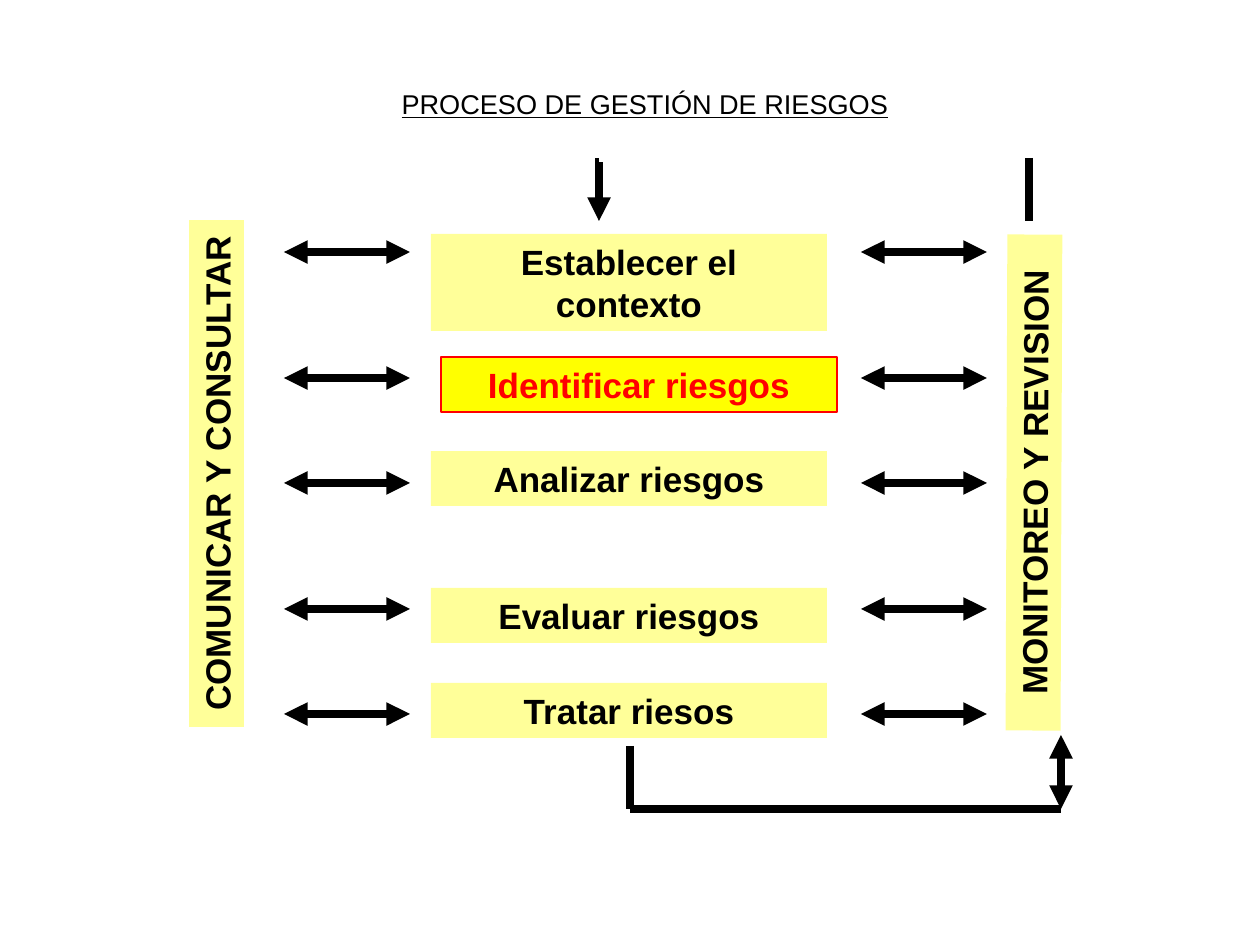
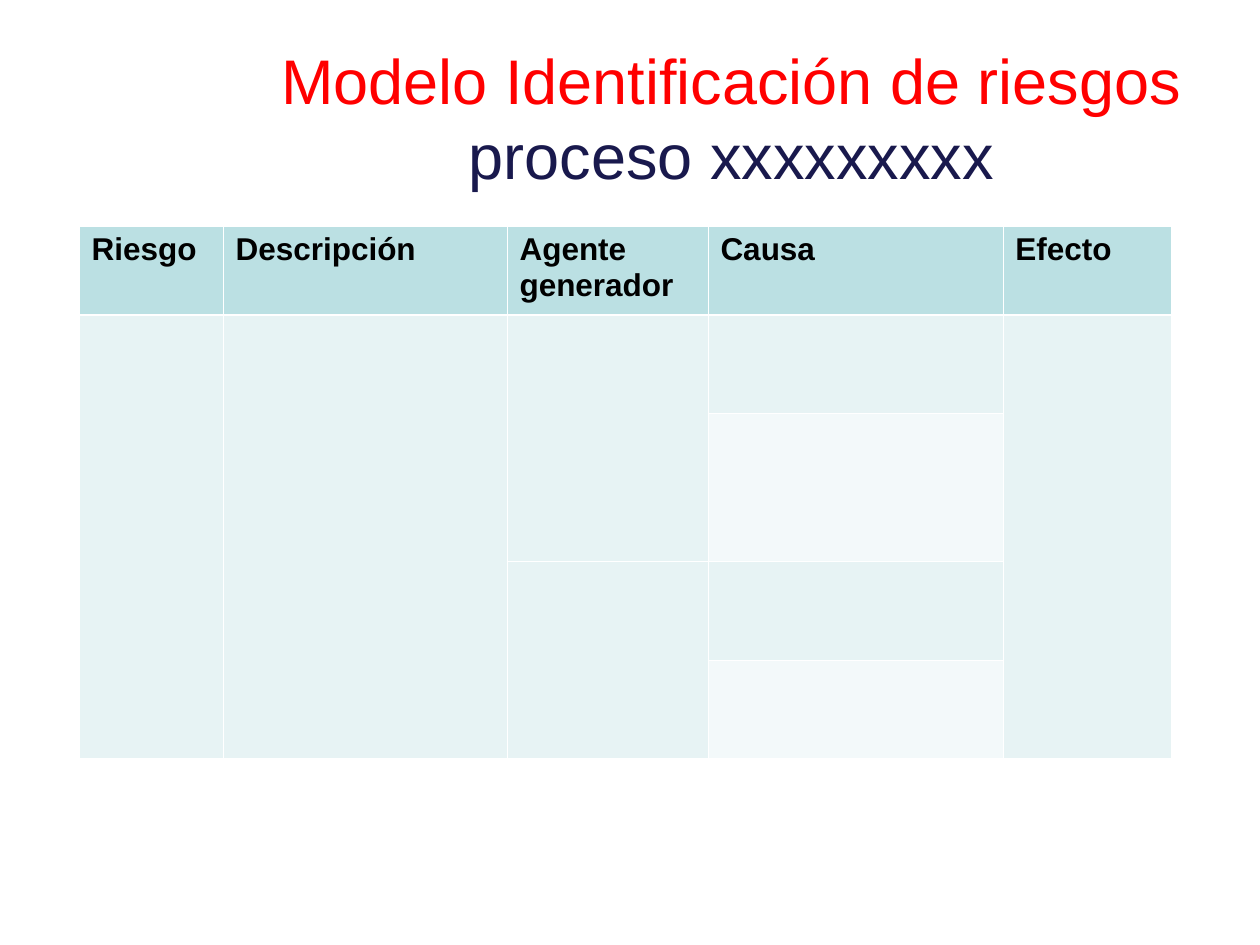
from dataclasses import dataclass

from lxml import etree
from pptx import Presentation
from pptx import util as u
from pptx.dml.color import RGBColor
from pptx.enum import shapes, text
from pptx.oxml.ns import qn

PX_PER_INCH = 126


@dataclass(frozen=True)
class Theme:
    font: str = "Arial"
    black: str = "000000"
    white: str = "FFFFFF"
    red: str = "FF0000"
    navy: str = "19194D"
    pale_yellow: str = "FFFF99"
    yellow: str = "FFFF00"
    header: str = "BBE0E3"
    cell: str = "E7F3F4"
    cell_light: str = "F3F9FA"
    process_title: float = 15.5
    model_title: float = 36
    step: float = 20
    table: float = 18
    arrow: float = 4.5
    outline: float = 0.75
    grid: float = 0.45
    grid_thick: float = 1.47


THEME = Theme()

PROCESS_TITLE = "PROCESO DE GESTIÓN DE RIESGOS"
MODEL_TITLE = [("Modelo Identificación de riesgos", THEME.red),
               ("proceso xxxxxxxxx", THEME.navy)]

# Text, left, top, width, height, rotation
SIDE_BARS = [("COMUNICAR Y CONSULTAR", -37, 446, 507, 55, 270),
             ("MONITOREO Y REVISION", 786, 455, 496, 55, 270.2)]
# Text, top, height
STEPS = [("Establecer el contexto", 234, 97),
         ("Analizar riesgos", 451, 55),
         ("Evaluar riesgos", 588, 55),
         ("Tratar riesos", 683, 55)]
STEP_LEFT, STEP_WIDTH = 431, 396
CURRENT_STEP = ("Identificar riesgos", 441, 357, STEP_WIDTH, 55)

ARROW_ROWS = [252, 378, 483, 609, 714]
ARROW_COLUMNS = [284, 861]
ARROW_LENGTH = 126
# Start, end, colour, arrowheads
LOOP_LINES = [
    ((630, 746), (630, 809), THEME.black, ""),
    ((630, 809), (1061, 809), THEME.black, ""),
    ((1061, 809), (1061, 735), THEME.black, "both"),
    ((599, 158), (599, 221), THEME.black, "end"),
    ((599, 158), (1029, 158), THEME.white, ""),
    ((1029, 158), (1029, 221), THEME.black, ""),
]

HEADERS = ["Riesgo", "Descripción", "Agente generador", "Causa", "Efecto"]
COLUMN_WIDTHS = [144, 284, 201, 295, 169]
ROW_HEIGHTS = [89, 98, 148, 99, 98]
# First row, first column, last row, last column
MERGES = [(1, 0, 4, 0), (1, 1, 4, 1), (1, 2, 2, 2), (3, 2, 4, 2), (1, 4, 4, 4)]
CAUSE_COLUMN = 3


def px(length):
    return u.Emu(round(length * 914400 / PX_PER_INCH))


def rgb(colour):
    return RGBColor.from_string(colour)


def add_span(para, words, size, colour, bold=False, underline=False):
    span = para.add_run()
    span.text = words
    font = span.font
    font.name, font.size, font.bold = THEME.font, u.Pt(size), bold
    font.underline = underline
    font.color.rgb = rgb(colour)


def place_title(page, left, top, width, height, anchor, align):
    """Move the title placeholder and return its empty paragraph."""
    title = page.shapes.title
    title.left, title.top, title.width, title.height = map(px, (left, top, width, height))
    frame = title.text_frame
    frame.word_wrap = True
    frame.auto_size = text.MSO_AUTO_SIZE.NONE
    frame.vertical_anchor = anchor
    para = frame.paragraphs[0]
    para.alignment = align
    return para


def add_box(page, words, left, top, width, height, rotation=0,
            fill=THEME.pale_yellow, colour=THEME.black, outline=None):
    box = page.shapes.add_shape(shapes.MSO_SHAPE.RECTANGLE,
                                *map(px, (left, top, width, height)))
    box.shadow.inherit = False
    box.rotation = rotation
    box.fill.solid()
    box.fill.fore_color.rgb = rgb(fill)
    if outline:
        box.line.color.rgb = rgb(outline)
        box.line.width = u.Pt(THEME.outline)
    else:
        box.line.fill.background()
    frame = box.text_frame
    frame.word_wrap = not rotation
    frame.vertical_anchor = text.MSO_ANCHOR.MIDDLE
    para = frame.paragraphs[0]
    para.alignment = text.PP_ALIGN.CENTER
    add_span(para, words, THEME.step, colour, bold=True)


def add_line(page, start, end, colour=THEME.black, heads="both"):
    line = page.shapes.add_connector(shapes.MSO_CONNECTOR.STRAIGHT,
                                     *map(px, start + end))
    line.line.color.rgb = rgb(colour)
    line.line.width = u.Pt(THEME.arrow)
    outline = line.line._get_or_add_ln()
    if heads == "both":
        etree.SubElement(outline, qn("a:headEnd"), type="triangle")
    if heads:
        etree.SubElement(outline, qn("a:tailEnd"), type="triangle")
    etree.SubElement(line._element.spPr, qn("a:effectLst"))


def format_cell(cell, fill, top, bottom):
    """Fill a cell and give it white borders of the given top and bottom widths."""
    properties = cell._tc.get_or_add_tcPr()
    widths = {"lnL": THEME.grid, "lnR": THEME.grid, "lnT": top, "lnB": bottom}
    for side, width in widths.items():
        border = etree.SubElement(properties, qn(f"a:{side}"), w=str(u.Pt(width)))
        paint = etree.SubElement(border, qn("a:solidFill"))
        etree.SubElement(paint, qn("a:srgbClr"), val=THEME.white)
    cell.fill.solid()
    cell.fill.fore_color.rgb = rgb(fill)


def cell_fill(row, column):
    if row == 0:
        return THEME.header
    if column == CAUSE_COLUMN and row % 2 == 0:
        return THEME.cell_light
    return THEME.cell


def build_process(page):
    para = place_title(page, 305, 66, 925, 60, text.MSO_ANCHOR.BOTTOM, text.PP_ALIGN.LEFT)
    para._p.get_or_add_pPr().set("marL", str(px(84)))
    add_span(para, PROCESS_TITLE, THEME.process_title, THEME.black, underline=True)
    for bar in SIDE_BARS:
        add_box(page, *bar)
    for words, top, height in STEPS:
        add_box(page, words, STEP_LEFT, top, STEP_WIDTH, height)
    add_box(page, *CURRENT_STEP, fill=THEME.yellow, colour=THEME.red, outline=THEME.red)
    for left in ARROW_COLUMNS:
        for middle in ARROW_ROWS:
            add_line(page, (left, middle), (left + ARROW_LENGTH, middle))
    for line in LOOP_LINES:
        add_line(page, *line)


def build_model(page):
    para = place_title(page, 266, 38, 931, 158, text.MSO_ANCHOR.MIDDLE, text.PP_ALIGN.CENTER)
    for index, (words, colour) in enumerate(MODEL_TITLE):
        if index:
            para.add_line_break()
        add_span(para, words, THEME.model_title, colour)

    table = page.shapes.add_table(
        len(ROW_HEIGHTS), len(HEADERS), px(79), px(226),
        px(sum(COLUMN_WIDTHS)), px(sum(ROW_HEIGHTS))).table
    table.horz_banding = False
    for column, width in zip(table.columns, COLUMN_WIDTHS):
        column.width = px(width)
    for row, height in zip(table.rows, ROW_HEIGHTS):
        row.height = px(height)
    for row in range(len(ROW_HEIGHTS)):
        for column in range(len(HEADERS)):
            format_cell(table.cell(row, column), cell_fill(row, column),
                        THEME.grid_thick if row == 1 else THEME.grid,
                        THEME.grid_thick if row == 0 else THEME.grid)
    for column, words in enumerate(HEADERS):
        para = table.cell(0, column).text_frame.paragraphs[0]
        add_span(para, words, THEME.table, THEME.black, bold=True)
    for top, left, bottom, right in MERGES:
        table.cell(top, left).merge(table.cell(bottom, right))


def main():
    deck = Presentation()
    deck.slide_width, deck.slide_height = px(1260), px(945)
    title_only = deck.slide_layouts[5]
    for build in (build_process, build_model):
        build(deck.slides.add_slide(title_only))
    deck.save("out.pptx")


if __name__ == "__main__":
    main()
